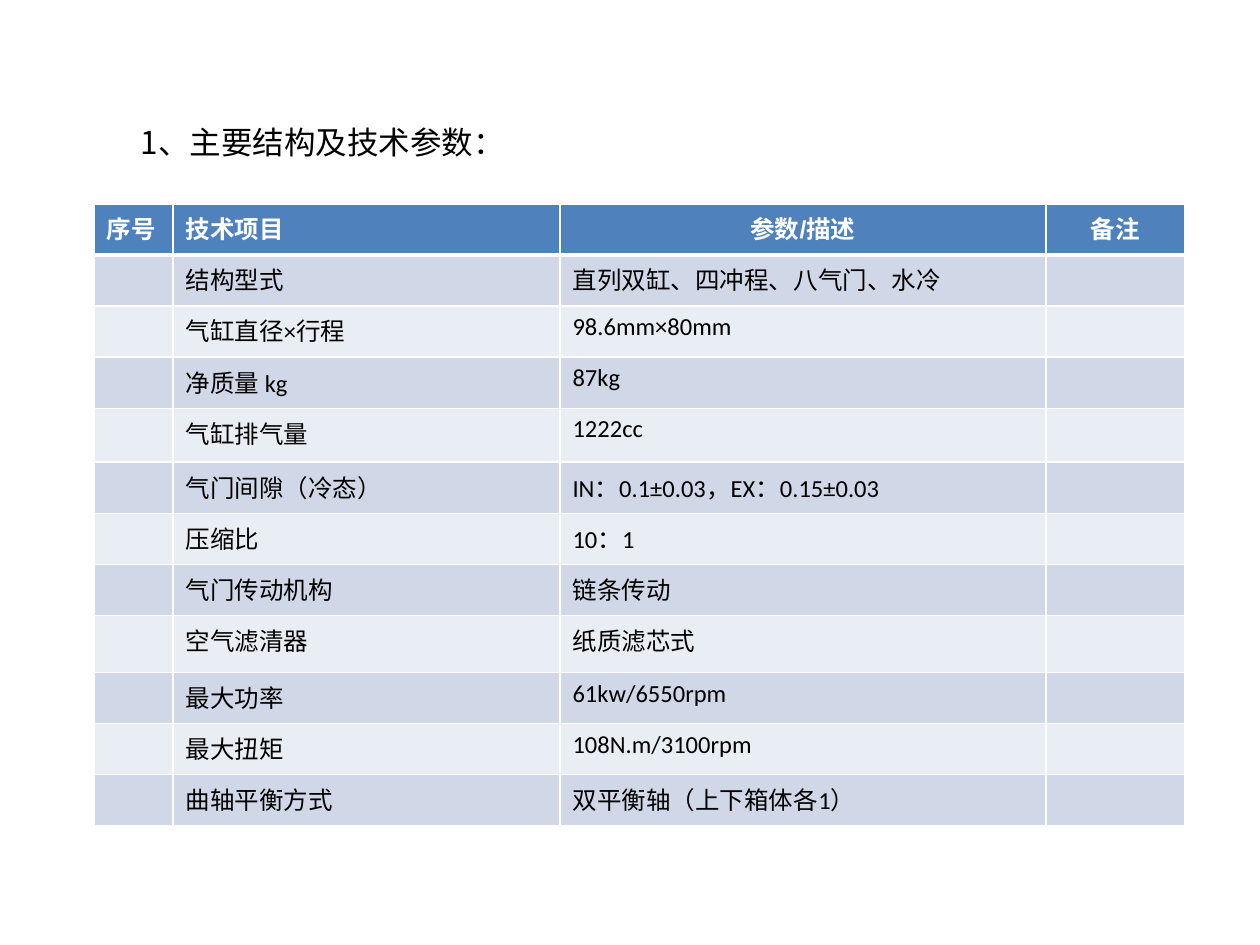
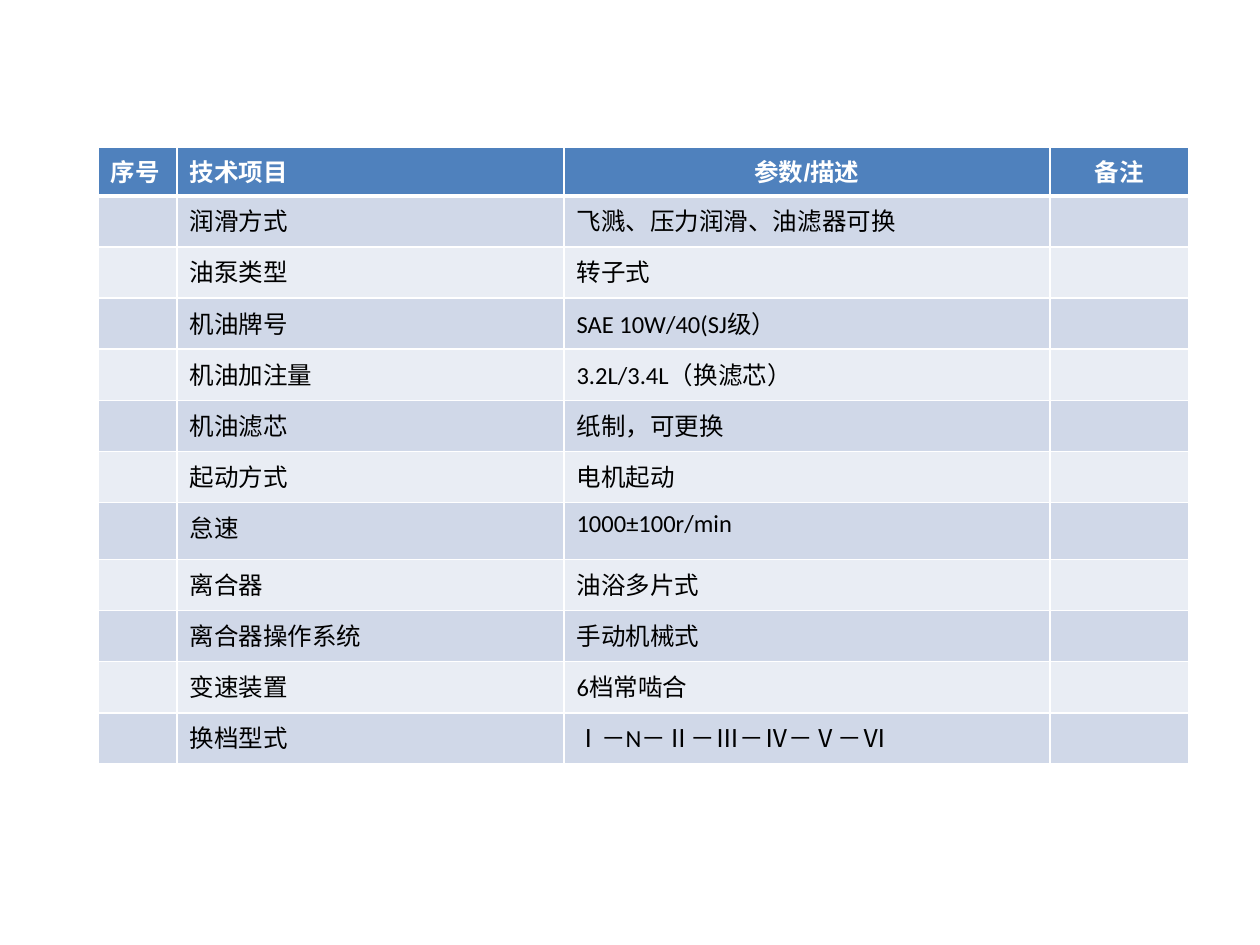
from dataclasses import dataclass, field

from lxml.etree import SubElement
from pptx import Presentation
from pptx.dml.color import RGBColor
from pptx.enum.text import MSO_ANCHOR, MSO_AUTO_SIZE, PP_ALIGN
from pptx.oxml.ns import qn
from pptx.util import Emu, Pt

PX_INCH = 126
BLUE, PALE, LIGHT = "4F81BD", "D0D8E8", "E9EDF4"
WHITE, BLACK = "FFFFFF", "000000"
COLS = [79, 387, 486, 139]
HEADS = ["序号", "技术项目", "参数/描述", "备注"]
ROW_H = 51
THIN, THICK = 1, 3


@dataclass
class Spec:
    """One table: its corner, header height, rows and any taller rows."""
    left: int
    top: int
    head_h: int
    rows: list[tuple[str, str]]
    tall: dict[int, int] = field(default_factory=dict)


ENGINE = Spec(94, 204, 51, [
    ("结构型式", "直列双缸、四冲程、八气门、水冷"),
    ("气缸直径×行程", "98.6mm×80mm"),
    ("净质量 kg", "87kg"),
    ("气缸排气量", "1222cc"),
    ("气门间隙（冷态）", "IN：0.1±0.03，EX：0.15±0.03"),
    ("压缩比", "10：1"),
    ("气门传动机构", "链条传动"),
    ("空气滤清器", "纸质滤芯式"),
    ("最大功率", "61kw/6550rpm"),
    ("最大扭矩", "108N.m/3100rpm"),
    ("曲轴平衡方式", "双平衡轴（上下箱体各1）"),
], {4: 54, 8: 57})

DRIVE = Spec(98, 147, 49, [
    ("润滑方式", "飞溅、压力润滑、油滤器可换"),
    ("油泵类型", "转子式"),
    ("机油牌号", "SAE 10W/40(SJ级）"),
    ("机油加注量", "3.2L/3.4L（换滤芯）"),
    ("机油滤芯", "纸制，可更换"),
    ("起动方式", "电机起动"),
    ("怠速", "1000±100r/min"),
    ("离合器", "油浴多片式"),
    ("离合器操作系统", "手动机械式"),
    ("变速装置", "6档常啮合"),
    ("换档型式", "Ⅰ－N－Ⅱ－Ⅲ－Ⅳ－Ⅴ－Ⅵ"),
], {7: 57})


def px(n: int) -> Emu:
    return Emu(round(n * 914400 / PX_INCH))


def rgb(code: str) -> RGBColor:
    return RGBColor.from_string(code)


def write(frame, text: str, *, size=14, face="Calibri", color=BLACK,
          bold=False, align=PP_ALIGN.LEFT, space=None) -> None:
    para = frame.paragraphs[0]
    para.alignment = align
    para.line_spacing = space
    run = para.add_run()
    run.text = text
    font = run.font
    font.size, font.name, font.bold = Pt(size), face, bold
    font.color.rgb = rgb(color)


def edge(cell, top: int, base: int) -> None:
    """Give a cell white borders; top and base are widths in points."""
    props = cell._tc.get_or_add_tcPr()
    for tag, width in (("lnL", THIN), ("lnR", THIN), ("lnT", top), ("lnB", base)):
        line = SubElement(props, qn(f"a:{tag}"), w=str(Pt(width)))
        SubElement(SubElement(line, qn("a:solidFill")), qn("a:srgbClr"), val=WHITE)


def paint(cell, row: int) -> None:
    """Set the borders and band colour that belong to a row."""
    edge(cell, THICK if row == 1 else THIN, THICK if row == 0 else THIN)
    cell.fill.solid()
    cell.fill.fore_color.rgb = rgb(BLUE if row == 0 else PALE if row % 2 else LIGHT)


def add_grid(slide, spec: Spec) -> None:
    count = len(spec.rows) + 1
    highs = [spec.head_h] + [spec.tall.get(i, ROW_H) for i in range(1, count)]
    grid = slide.shapes.add_table(count, len(COLS), px(spec.left), px(spec.top),
                                  px(sum(COLS)), px(sum(highs))).table
    for col, width in zip(grid.columns, COLS):
        col.width = px(width)
    for row, high in zip(grid.rows, highs):
        row.height = px(high)
    lines = [HEADS] + [["", name, value, ""] for name, value in spec.rows]
    for i, line in enumerate(lines):
        for j, text in enumerate(line):
            cell = grid.cell(i, j)
            paint(cell, i)
            if i == 0:
                write(cell.text_frame, text, face="Arial", color=WHITE, bold=True,
                      align=PP_ALIGN.CENTER if j > 1 else PP_ALIGN.LEFT)
            elif text:
                write(cell.text_frame, text)


def add_title(slide, text: str) -> None:
    title = slide.shapes.title
    title.left, title.top, title.width, title.height = map(px, (128, 98, 886, 299))
    frame = title.text_frame
    frame.word_wrap = True
    frame.auto_size = MSO_AUTO_SIZE.NONE
    frame.vertical_anchor = MSO_ANCHOR.TOP
    write(frame, text, size=18, face="Noto Sans CJK SC", space=1.5)


def main() -> None:
    deck = Presentation()
    deck.slide_width, deck.slide_height = px(1260), px(945)
    titled, blank = deck.slide_layouts[5], deck.slide_layouts[6]

    first = deck.slides.add_slide(titled)
    add_title(first, "1、主要结构及技术参数：")
    add_grid(first, ENGINE)

    add_grid(deck.slides.add_slide(blank), DRIVE)
    deck.save("out.pptx")


if __name__ == "__main__":
    main()
